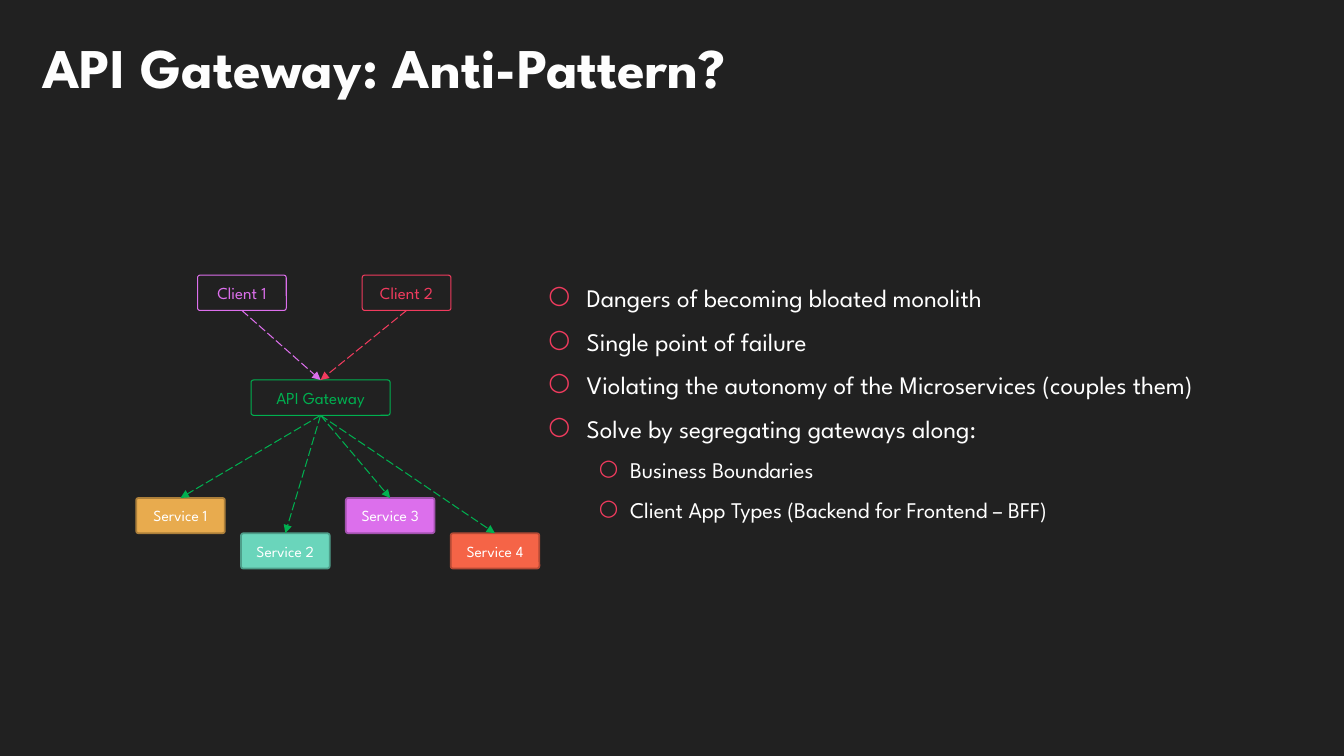
from dataclasses import dataclass

from lxml.etree import SubElement
from pptx import Presentation
from pptx.dml.color import RGBColor as Color
from pptx.enum.dml import MSO_LINE_DASH_STYLE as Dash
from pptx.enum.shapes import MSO_CONNECTOR as Connector, MSO_SHAPE as Shape
from pptx.enum.text import MSO_ANCHOR as Anchor, PP_ALIGN as Align
from pptx.oxml.ns import qn
from pptx.util import Inches, Pt

WIDTH, HEIGHT = Inches(13.33), Inches(7.5)
BOX_WIDTH, BOX_HEIGHT = 6.6, 4.67
SERVICE_LEFT, SERVICE_STEP = 10.13, 7.8
CLIENT_ROW, GATEWAY_ROW, SERVICE_ROW = 36.4, 50.27, 65.87


@dataclass(frozen=True)
class Theme:
    font: str = "League Spartan"
    background: str = "212121"
    title: str = "FEFEFE"
    text: str = "FFFFFF"
    purple: str = "DC6FEC"
    red: str = "F03B5E"
    green: str = "00B050"
    title_size: int = 40
    bullet_sizes: tuple = (18, 16)
    node_size: int = 12
    service_size: int = 11
    thin: float = 0.75
    thick: float = 1.25


THEME = Theme()
CLIENTS = [("Client 1", 14.7, THEME.purple), ("Client 2", 26.95, THEME.red)]
SERVICES = [
    ("Service 1", "E8AB4E", "AC7F3A"),
    ("Service 2", "6AD5BB", "4E9E8A"),
    ("Service 3", "DC6FEC", "A352AF"),
    ("Service 4", "F56447", "B54A35"),
]
BULLETS = [
    ("Dangers of becoming bloated monolith", 0),
    ("Single point of failure", 0),
    ("Violating the autonomy of the Microservices (couples them)", 0),
    ("Solve by segregating gateways along:", 0),
    ("Business Boundaries", 1),
    ("Client App Types (Backend for Frontend – BFF)", 1),
]


def place(*shares):
    return [round(share / 100 * side) for share, side in zip(shares, (WIDTH, HEIGHT) * 2)]


def write(para, text, *, size, color=THEME.text, bold=False, align=None):
    span = para.add_run()
    span.text = text
    span.font.name = THEME.font
    span.font.size = Pt(size)
    span.font.bold = bold
    span.font.color.rgb = Color.from_string(color)
    para.alignment = align


def add_text_frame(page, *shares, anchor=Anchor.TOP):
    frame = page.shapes.add_textbox(*place(*shares)).text_frame
    frame.word_wrap = True
    frame.vertical_anchor = anchor
    return frame


def add_bullet(para, text, level):
    size = THEME.bullet_sizes[level]
    write(para, text, size=size)
    para.level = level
    para.space_before = Pt(size * 0.2)
    para.space_after = Pt(6)
    properties = para._p.get_or_add_pPr()
    margin, indent = ((0.38, -0.38), (0.81, -0.31))[level]
    properties.set("marL", str(Inches(margin)))
    properties.set("indent", str(Inches(indent)))
    tint = SubElement(properties, qn("a:buClr"))
    SubElement(tint, qn("a:srgbClr"), val=THEME.red)
    SubElement(properties, qn("a:buFont"), typeface=THEME.font)
    SubElement(properties, qn("a:buChar"), char="○")


def add_box(page, text, left, top, *, line, width=BOX_WIDTH, fill=None,
            color=THEME.text, size=THEME.node_size, weight=THEME.thin):
    box = page.shapes.add_shape(Shape.ROUNDED_RECTANGLE, *place(left, top, width, BOX_HEIGHT))
    box.adjustments[0] = 0.07
    box.shadow.inherit = False
    if fill:
        box.fill.solid()
        box.fill.fore_color.rgb = Color.from_string(fill)
    else:
        box.fill.background()
    box.line.color.rgb = Color.from_string(line)
    box.line.width = Pt(weight)
    frame = box.text_frame
    frame.vertical_anchor = Anchor.MIDDLE
    write(frame.paragraphs[0], text, size=size, color=color, align=Align.CENTER)
    return box


def add_arrow(page, source, target, color):
    arrow = page.shapes.add_connector(Connector.STRAIGHT, 0, 0, 0, 0)
    arrow.begin_connect(source, 2)
    arrow.end_connect(target, 0)
    arrow.line.color.rgb = Color.from_string(color)
    arrow.line.width = Pt(THEME.thin)
    arrow.line.dash_style = Dash.LONG_DASH
    SubElement(arrow.line._get_or_add_ln(), qn("a:tailEnd"), type="triangle")
    SubElement(arrow._element.spPr, qn("a:effectLst"))


def add_diagram(page):
    gateway = add_box(page, "API Gateway", 18.68, GATEWAY_ROW, width=10.35,
                      line=THEME.green, color=THEME.green)
    for name, left, color in CLIENTS:
        client = add_box(page, name, left, CLIENT_ROW, line=color, color=color)
        add_arrow(page, client, gateway, color)
    for index, (name, fill, line) in enumerate(SERVICES):
        service = add_box(page, name, SERVICE_LEFT + index * SERVICE_STEP,
                          SERVICE_ROW + index % 2 * BOX_HEIGHT, fill=fill, line=line,
                          size=THEME.service_size, weight=THEME.thick)
        add_arrow(page, gateway, service, THEME.green)


def main():
    deck = Presentation()
    deck.slide_width, deck.slide_height = WIDTH, HEIGHT
    page = deck.slides.add_slide(deck.slide_layouts[6])
    page.background.fill.solid()
    page.background.fill.fore_color.rgb = Color.from_string(THEME.background)

    title = add_text_frame(page, 2.4, 3.07, 60.09, 11.33, anchor=Anchor.MIDDLE)
    write(title.paragraphs[0], "API Gateway: Anti-Pattern?", size=THEME.title_size,
          color=THEME.title, bold=True)

    body = add_text_frame(page, 40.06, 36.7, 55.96, 45.3)
    for index, (text, level) in enumerate(BULLETS):
        para = body.add_paragraph() if index else body.paragraphs[0]
        add_bullet(para, text, level)

    add_diagram(page)
    deck.save("out.pptx")


if __name__ == "__main__":
    main()
